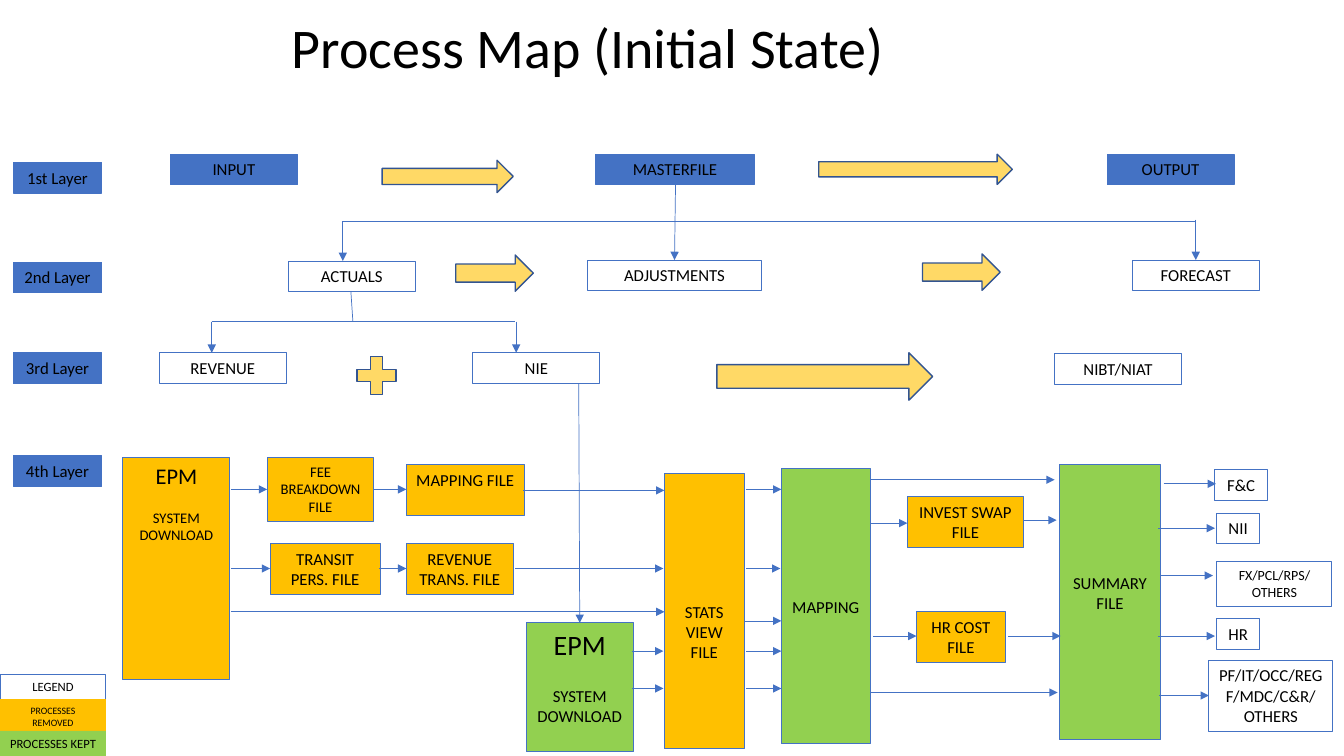
"""Draw the process map on a grid of tenth-inch columns and rows."""
from lxml.etree import SubElement
from pptx import Presentation
from pptx.dml.color import RGBColor
from pptx.enum.shapes import MSO_CONNECTOR, MSO_SHAPE
from pptx.enum.text import MSO_ANCHOR, PP_ALIGN
from pptx.oxml.ns import qn
from pptx.util import Inches, Pt

BLUE = RGBColor(0x44, 0x72, 0xC4)
NAVY = RGBColor(0x32, 0x54, 0x91)
AMBER = RGBColor(0xFF, 0xC0, 0x00)
GREEN = RGBColor(0x92, 0xD0, 0x50)
YELLOW = RGBColor(0xFF, 0xD9, 0x66)
BLACK = RGBColor(0, 0, 0)

LABEL = 3.05
FILE = 5.05
TALL = 27.3
LAYERS = {"1st Layer": 16.1, "2nd Layer": 26, "3rd Layer": 35, "4th Layer": 45.2}
TOPICS = [("INPUT", 16.9, 12.6), ("MASTERFILE", 59.1, 15.7), ("OUTPUT", 109.8, 12.6)]
STAGES = [
    ("ACTUALS", 28.6, 25.9, 12.6), ("ADJUSTMENTS", 58.3, 25.8, 17.2),
    ("FORECAST", 112.3, 25.8, 12.6), ("REVENUE", 15.8, 35, 12.6),
    ("NIE", 46.9, 35, 12.6), ("NIBT/NIAT", 104.6, 35.1, 12.6),
    ("F&C", 120.5, 46.6, 5.2), ("NII", 120.7, 50.9, 4.2), ("HR", 120.7, 61.4, 4.2),
]
FILES = [
    ("MAPPING FILE", 40.3, 46.1, 11.7), ("TRANSIT\nPERS. FILE", 26.8, 53.9, 10.9),
    ("REVENUE\nTRANS. FILE", 40.3, 53.9, 10.6), ("INVEST SWAP\nFILE", 90, 49.3, 11.5),
    ("HR COST\nFILE", 90.9, 60.7, 8.8),
]
TOWERS = [
    ("STATS\nVIEW FILE", 65.9, 47, 7.9, AMBER, 12.7),
    ("MAPPING", 77.5, 46.5, 8.8, GREEN, 12.7),
    ("SUMMARY FILE", 105.1, 46.1, 10, GREEN, 10.7),
]
BLOCKS = [
    (37.9, 15.9, 13, 3.2), (81.2, 15.3, 19.2, 3), (45.2, 25.3, 7.7, 3.6),
    (91.5, 25.2, 7.7, 3.6), (71.1, 35, 21.4, 4.7),
]
FLOWS = {
    47.6: [(86.4, 104.6)],
    48: [(115.4, 120.6)],
    48.55: [(22.9, 26.5), (37.1, 40.3), (74, 77.5)],
    48.65: [(51.9, 65.9)],
    51.6: [(101.6, 104.8)],
    51.9: [(86.4, 90)],
    52.4: [(114.9, 120.5)],
    56.4: [(22.9, 26.8), (37.6, 40.3), (51.1, 65.8), (74, 77.4)],
    57.1: [(115.1, 120.3)],
    60.7: [(22.9, 65.9)],
    61.6: [(73.8, 77.5)],
    63.1: [(86.6, 90.9), (100, 105.2), (114.9, 120.5)],
    64.6: [(62.7, 65.8), (74, 77.5)],
    68.3: [(62.7, 65.8), (74, 77.5)],
    68.7: [(86.4, 104.9)],
    69: [(115, 119.9)],
}
DROPS = [
    (67, 18.3, 66.9, 25.8), (34, 22, 34, 25.9), (118.6, 21.8, 118.6, 25.8),
    (21, 31.9, 21, 35), (51.2, 31.9, 51.2, 35), (57.4, 38, 57.5, 61.8),
]
RAILS = [(33.9, 22, 118.6, 22), (34.8, 28.9, 35, 31.9), (21, 31.9, 51.1, 31.9)]


def grid(*cells):
    """Turn grid cells into slide lengths."""
    return [Inches(cell / 10) for cell in cells]


def write(shape, text, size=12, head=None, gap=0, top=0.5):
    """Fill a shape with centred text, the first line in the head size."""
    frame = shape.text_frame
    frame.word_wrap = True
    frame.vertical_anchor = MSO_ANCHOR.TOP
    frame.margin_top = Inches(top / 10)
    for row, line in enumerate(text.split("\n")):
        para = frame.add_paragraph() if row else frame.paragraphs[0]
        para.alignment = PP_ALIGN.CENTER
        para.space_before = Pt(gap if row else 0)
        run = para.add_run()
        run.text = line
        run.font.name = "Calibri"
        run.font.size = Pt(size if row else head or size)
        run.font.color.rgb = BLACK


def form(slide, kind, cells, fill=None, line=BLUE, width=0.75):
    """Add a preset shape with a plain fill and line."""
    shape = slide.shapes.add_shape(kind, *grid(*cells))
    shape.shadow.inherit = False
    if fill is None:
        shape.fill.background()
    else:
        shape.fill.solid()
        shape.fill.fore_color.rgb = fill
    if line is None:
        shape.line.fill.background()
    else:
        shape.line.color.rgb = line
        shape.line.width = Pt(width)
    return shape


def box(slide, text, cells, fill=None, line=BLUE, **style):
    """Add a box that holds text."""
    write(form(slide, MSO_SHAPE.RECTANGLE, cells, fill, line), text, **style)


def link(slide, ends, arrow=True):
    """Add a thin line, with an arrowhead if wanted."""
    line = slide.shapes.add_connector(MSO_CONNECTOR.STRAIGHT, *grid(*ends))
    line.line.color.rgb = BLUE
    line.line.width = Pt(0.5)
    props = line._element.spPr
    if arrow:
        SubElement(props.find(qn("a:ln")), qn("a:tailEnd"), type="triangle")
    SubElement(props, qn("a:effectLst"))


def main():
    """Build the slide and save it."""
    deck = Presentation()
    deck.slide_width, deck.slide_height = Inches(13.33), Inches(7.5)
    slide = deck.slides.add_slide(deck.slide_layouts[6])
    title = slide.shapes.add_textbox(*grid(2.8, 0.7, 112.2, 14.5))
    write(title, "Process Map (Initial State) ", size=40)

    for text, top in LAYERS.items():
        box(slide, text, (1.3, top, 8.8, LABEL), BLUE)
    for text, left, width in TOPICS:
        box(slide, text, (left, 15.3, width, LABEL), BLUE)
    for text, left, top, width in STAGES:
        box(slide, text, (left, top, width, LABEL))
    for text, left, top, width in FILES:
        box(slide, text, (left, top, width, FILE), AMBER)
    for text, left, top, width, fill, inset in TOWERS:
        box(slide, text, (left, top, width, TALL), fill, top=inset)

    box(slide, "FEE BREAKDOWN\nFILE", (26.5, 45.4, 10.6, 6.3), AMBER, size=10.5)
    load = "EPM\nSYSTEM DOWNLOAD"
    box(slide, load, (12.2, 45.4, 10.6, 22), AMBER, size=10.5, head=16, gap=13.5)
    box(slide, load, (52.2, 61.8, 10.6, 12.8), GREEN, head=20, gap=17)
    box(slide, "FX/PCL/RPS/\nOTHERS", (120.7, 55.7, 11.4, 4.5), size=10)
    box(slide, "PF/IT/OCC/REG F/MDC/C&R/\nOTHERS", (119.9, 65.5, 12.3, 7.1))

    for cells in BLOCKS:
        form(slide, MSO_SHAPE.RIGHT_ARROW, cells, YELLOW, NAVY, 1)
    form(slide, MSO_SHAPE.MATH_PLUS, (34.7, 34.7, 5.3, 5.1), YELLOW, NAVY, 1)
    for row, spans in FLOWS.items():
        for start, end in spans:
            link(slide, (start, row, end, row))
    for ends in DROPS:
        link(slide, ends)
    for ends in RAILS:
        link(slide, ends, arrow=False)

    box(slide, "LEGEND", (0, 66.9, 10.5, 2.5), size=9)
    box(slide, "PROCESSES REMOVED", (0, 69.4, 10.5, 3.4), AMBER, AMBER, size=7)
    box(slide, "PROCESSES KEPT", (0, 72.5, 10.5, 2.5), GREEN, None, size=9)
    deck.save("out.pptx")


if __name__ == "__main__":
    main()
